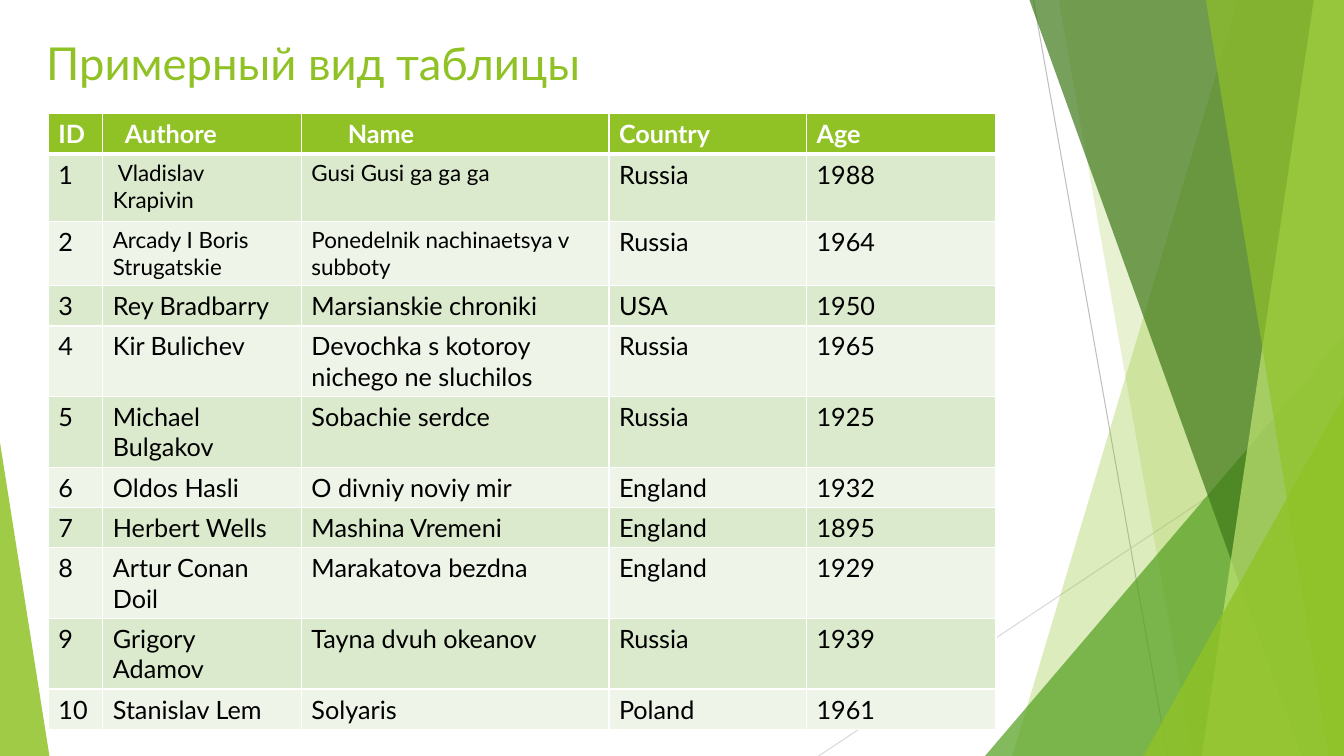
import pptx
import pptx.dml.color
import pptx.enum.shapes
import pptx.oxml
import pptx.oxml.ns
import pptx.util
from pptx.util import Inches

FONT = "Lato"
GREEN = "90C226"
WHITE = "FFFFFF"
WIDTH, HEIGHT = 13.33, 7.5

TITLE = "Примерный вид таблицы"
HEADER = ("ID", "Authore", "Name", "Country", "Age")
BOOKS = [
    ("1", " Vladislav\vKrapivin", "Gusi Gusi ga ga ga", "Russia", "1988"),
    ("2", "Arcady I Boris Strugatskie", "Ponedelnik nachinaetsya v \nsubboty", "Russia", "1964"),
    ("3", "Rey Bradbarry", "Marsianskie chroniki", "USA", "1950"),
    ("4", "Kir Bulichev", "Devochka s kotoroy nichego ne sluchilos", "Russia", "1965"),
    ("5", "Michael Bulgakov", "Sobachie serdce", "Russia", "1925"),
    ("6", "Oldos Hasli", "O divniy noviy mir", "England", "1932"),
    ("7", "Herbert Wells", "Mashina Vremeni", "England", "1895"),
    ("8", "Artur Conan Doil", "Marakatova bezdna", "England", "1929"),
    ("9", "Grigory Adamov", "Tayna dvuh okeanov", "Russia", "1939"),
    ("10", "Stanislav Lem", "Solyaris", "Poland", "1961"),
]
COLUMN_WIDTHS = (0.54, 1.97, 3.05, 1.96, 1.88)
ROW_HEIGHTS = (0.4, 0.67, 0.63, 0.4, 0.7, 0.7, 0.4, 0.4, 0.7, 0.7, 0.4)
HEADER_INDENTS = {1: 0.22, 2: 0.46}
SMALL_CELLS = {(1, 1), (1, 2), (2, 1), (2, 2)}
BAND_FILLS = ("EEF4E8", "DBE9CD")

# Thin lines: start, end, colour
RAYS = [
    ((10.25, 0), (11.58, HEIGHT), "BFBFBF"),
    ((WIDTH, 4.03), (8.12, HEIGHT), "D9D9D9"),
]
# Bands reaching the right edge: top x, bottom x, colour, opacity in percent
BACK_BANDS = [(12.28, 10.04, GREEN, 30), (10.5, 11.83, GREEN, 20)]
FRONT_BANDS = [
    (10.21, 12.91, "3F7819", 70),
    (13.03, 11.92, "C0E474", 70),
    (11.96, 13.18, GREEN, 65),
]
# Triangles standing on the bottom edge: left, top, width, apex, colour, opacity
BACK_TRIANGLE = (9.77, 3.33, 3.56, 1, "54A021", 72)
FRONT_TRIANGLES = [(11.34, 3.93, 1.99, 1, GREEN, 80), (0, 4.39, 0.49, 0, GREEN, 85)]


def rgb(color):
    """Turn a hex string into a colour."""
    return pptx.dml.color.RGBColor.from_string(color)


def paint(shape, color, opacity):
    """Give a shape a see-through fill without line or shadow."""
    shape.shadow.inherit = False
    shape.line.fill.background()
    shape.fill.solid()
    shape.fill.fore_color.rgb = rgb(color)
    color_element = shape.fill._xPr.find(".//" + pptx.oxml.ns.qn("a:srgbClr"))
    alpha = pptx.oxml.parse_xml(f'<a:alpha {pptx.oxml.ns.nsdecls("a")} val="{opacity * 1000}"/>')
    color_element.append(alpha)


def add_ray(slide, start, end, color):
    """Draw a thin straight line."""
    points = [Inches(value) for value in start + end]
    ray = slide.shapes.add_connector(pptx.enum.shapes.MSO_CONNECTOR.STRAIGHT, *points)
    ray.line.color.rgb = rgb(color)
    ray.line.width = pptx.util.Pt(0.75)
    ray._element.spPr.append(pptx.oxml.parse_xml(f'<a:effectLst {pptx.oxml.ns.nsdecls("a")}/>'))


def add_band(slide, top_x, bottom_x, color, opacity):
    """Draw a full-height band between a slanted side and the right edge."""
    builder = slide.shapes.build_freeform(Inches(top_x), 0)
    corners = [(WIDTH, 0), (WIDTH, HEIGHT), (bottom_x, HEIGHT)]
    builder.add_line_segments([(Inches(x), Inches(y)) for x, y in corners], close=True)
    paint(builder.convert_to_shape(), color, opacity)


def add_triangle(slide, left, top, width, apex, color, opacity):
    """Draw a triangle from the given top down to the bottom edge."""
    kind = pptx.enum.shapes.MSO_SHAPE.ISOSCELES_TRIANGLE
    box = [Inches(value) for value in (left, top, width, HEIGHT - top)]
    triangle = slide.shapes.add_shape(kind, *box)
    triangle.adjustments[0] = apex
    paint(triangle, color, opacity)


def write(text_frame, text, size, color, bold=False):
    """Fill a text frame with text in one font."""
    text_frame.text = text
    text_frame.word_wrap = True
    for paragraph in text_frame.paragraphs:
        paragraph.font.name = FONT
        paragraph.font.size = pptx.util.Pt(size)
        paragraph.font.bold = bold
        paragraph.font.color.rgb = rgb(color)


def style_cell(cell, fill, bottom_width):
    """Set white borders and the fill of a cell."""
    properties = cell._tc.get_or_add_tcPr()
    for side, width in (("L", 1), ("R", 1), ("T", 1), ("B", bottom_width)):
        properties.append(pptx.oxml.parse_xml(
            f'<a:ln{side} {pptx.oxml.ns.nsdecls("a")} w="{pptx.util.Pt(width)}">'
            f'<a:solidFill><a:srgbClr val="{WHITE}"/></a:solidFill></a:ln{side}>'))
    cell.fill.solid()
    cell.fill.fore_color.rgb = rgb(fill)


def add_book_table(slide):
    """Add the table of books."""
    rows = [HEADER] + BOOKS
    table = slide.shapes.add_table(
        len(rows), len(HEADER), Inches(0.48), Inches(1.13),
        Inches(sum(COLUMN_WIDTHS)), Inches(sum(ROW_HEIGHTS))).table
    for column, width in zip(table.columns, COLUMN_WIDTHS):
        column.width = Inches(width)
    for row_index, values in enumerate(rows):
        table.rows[row_index].height = Inches(ROW_HEIGHTS[row_index])
        is_header = row_index == 0
        for column_index, value in enumerate(values):
            cell = table.cell(row_index, column_index)
            size = 16 if (row_index, column_index) in SMALL_CELLS else 18
            write(cell.text_frame, value, size, WHITE if is_header else "000000", is_header)
            style_cell(cell, GREEN if is_header else BAND_FILLS[row_index % 2], 3 if is_header else 1)
            if is_header:
                cell.margin_left = Inches(HEADER_INDENTS.get(column_index, 0.1))


presentation = pptx.Presentation()
presentation.slide_width = Inches(WIDTH)
presentation.slide_height = Inches(HEIGHT)
slide = presentation.slides.add_slide(presentation.slide_layouts[6])

for ray in RAYS:
    add_ray(slide, *ray)
for band in BACK_BANDS:
    add_band(slide, *band)
add_triangle(slide, *BACK_TRIANGLE)
for band in FRONT_BANDS:
    add_band(slide, *band)
for triangle in FRONT_TRIANGLES:
    add_triangle(slide, *triangle)

title = slide.shapes.add_textbox(Inches(0.36), Inches(0.3), Inches(9.4), Inches(0.53))
write(title.text_frame, TITLE, 32.4, GREEN)
add_book_table(slide)

presentation.save("out.pptx")
